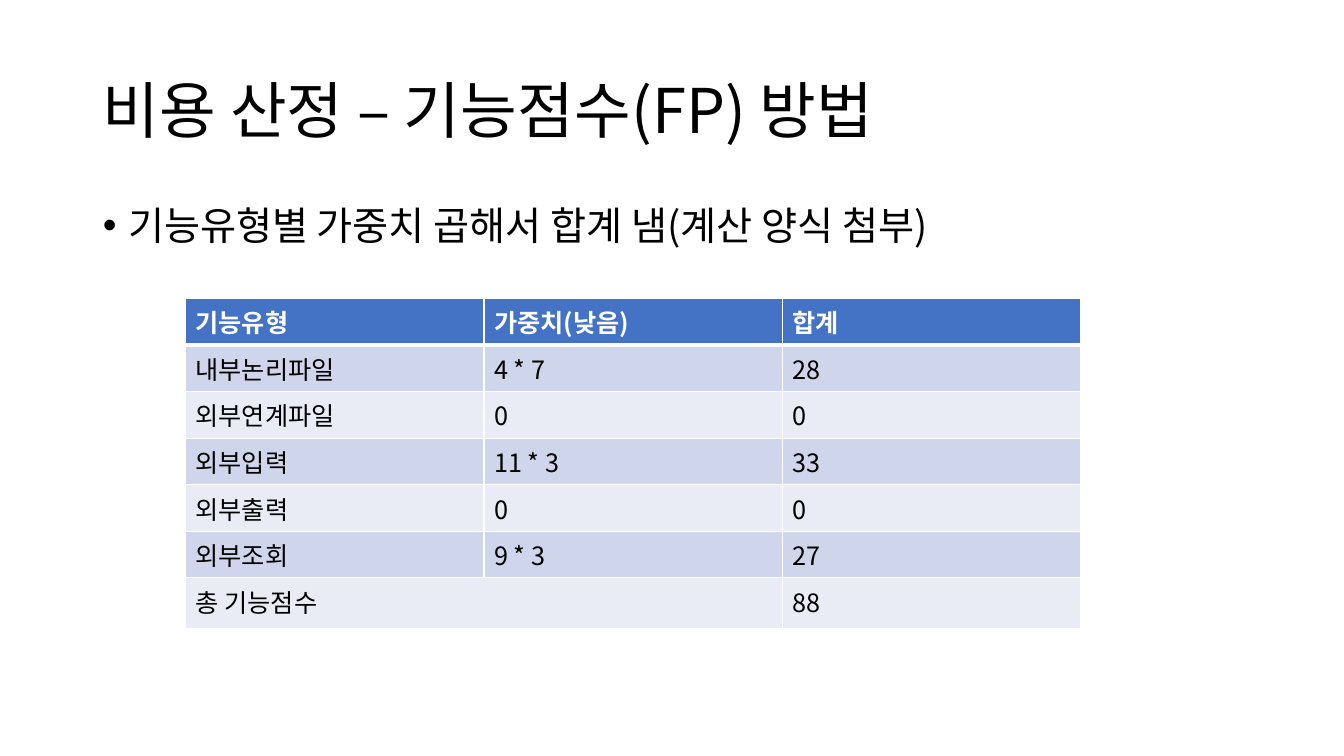
from lxml import etree
from pptx import Presentation
from pptx.dml.color import RGBColor
from pptx.enum.text import MSO_ANCHOR, MSO_AUTO_SIZE, PP_ALIGN
from pptx.oxml.ns import qn
from pptx.util import Emu, Pt

LEFT = PP_ALIGN.LEFT
TOP, MIDDLE = MSO_ANCHOR.TOP, MSO_ANCHOR.MIDDLE
NO_AUTOFIT = MSO_AUTO_SIZE.NONE

PX = 9144  # 100 px to the inch
FONT = "Noto Sans CJK KR"
COLORS = {
    "text": "000000",
    "header_text": "FFFFFF",
    "header": "4472C4",
    "band_dark": "CFD5EA",
    "band_light": "E9EBF5",
    "border": "FFFFFF",
}

TITLE = "비용 산정 – 기능점수(FP) 방법"
SUMMARY = "기능유형별 가중치 곱해서 합계 냄(계산 양식 첨부)"
SCORES = [
    ("기능유형", "가중치(낮음)", "합계"),
    ("내부논리파일", "4 * 7", "28"),
    ("외부연계파일", "0", "0"),
    ("외부입력", "11 * 3", "33"),
    ("외부출력", "0", "0"),
    ("외부조회", "9 * 3", "27"),
    ("총 기능점수", "", "88"),
]
COLUMN_WIDTH = 296
ROW_HEIGHT, TOTAL_HEIGHT = 41, 50


def px(length):
    return Emu(length * PX)


def format_text(paragraph, size, color, bold=False):
    for run in paragraph.runs:
        run.font.size = Pt(size)
        run.font.bold = bold
        run.font.name = FONT
        run.font.color.rgb = RGBColor.from_string(COLORS[color])
        east_asian = etree.Element(qn("a:ea"), typeface=FONT)
        run.font._element.find(qn("a:latin")).addnext(east_asian)


def fill_placeholder(placeholder, text, box, size, anchor):
    placeholder.left, placeholder.top, placeholder.width, placeholder.height = map(px, box)
    frame = placeholder.text_frame
    frame.text = text
    frame.word_wrap = True
    frame.auto_size = NO_AUTOFIT
    frame.vertical_anchor = anchor
    paragraph = frame.paragraphs[0]
    paragraph.alignment = LEFT
    paragraph.line_spacing = 0.9
    paragraph.space_before = Pt(0)
    format_text(paragraph, size, "text")
    return paragraph


def add_bullet(paragraph, indent):
    properties = paragraph._p.get_or_add_pPr()
    properties.set("marL", str(px(indent)))
    properties.set("indent", str(px(-indent)))
    etree.SubElement(properties, qn("a:buFont"), typeface="Arial")
    etree.SubElement(properties, qn("a:buChar"), char="•")


def set_borders(cell, top, bottom):
    properties = cell._tc.get_or_add_tcPr()
    for side, width in (("L", 1), ("R", 1), ("T", top), ("B", bottom)):
        line = etree.SubElement(properties, qn(f"a:ln{side}"), w=str(Pt(width)))
        solid = etree.SubElement(line, qn("a:solidFill"))
        etree.SubElement(solid, qn("a:srgbClr"), val=COLORS["border"])


def add_score_table(slide, left, top):
    row_count, column_count = len(SCORES), len(SCORES[0])
    height = ROW_HEIGHT * (row_count - 1) + TOTAL_HEIGHT
    table = slide.shapes.add_table(
        row_count, column_count, px(left), px(top),
        px(COLUMN_WIDTH * column_count), px(height)).table
    for column in table.columns:
        column.width = px(COLUMN_WIDTH)

    for r, values in enumerate(SCORES):
        is_header, is_total = r == 0, r == row_count - 1
        table.rows[r].height = px(TOTAL_HEIGHT if is_total else ROW_HEIGHT)
        band = "header" if is_header else "band_dark" if r % 2 else "band_light"
        for c, value in enumerate(values):
            cell = table.cell(r, c)
            # A thick rule separates the header from the scores
            set_borders(cell, top=3 if r == 1 else 1, bottom=3 if is_header else 1)
            cell.fill.solid()
            cell.fill.fore_color.rgb = RGBColor.from_string(COLORS[band])
            cell.text_frame.text = value
            format_text(cell.text_frame.paragraphs[0], 18,
                        "header_text" if is_header else "text", is_header)

    # The total label spans the first two columns
    table.cell(row_count - 1, 0).merge(table.cell(row_count - 1, 1))


def main():
    presentation = Presentation()
    presentation.slide_width, presentation.slide_height = px(1333), px(750)
    slide = presentation.slides.add_slide(presentation.slide_layouts[1])

    # Title and summary
    fill_placeholder(slide.shapes.title, TITLE, (92, 40, 1150, 145), 44, MIDDLE)
    summary = fill_placeholder(
        slide.placeholders[1], SUMMARY, (92, 200, 1150, 476), 28, TOP)
    add_bullet(summary, 25)

    # Function point scores
    add_score_table(slide, 184, 296)

    presentation.save("out.pptx")


if __name__ == "__main__":
    main()
